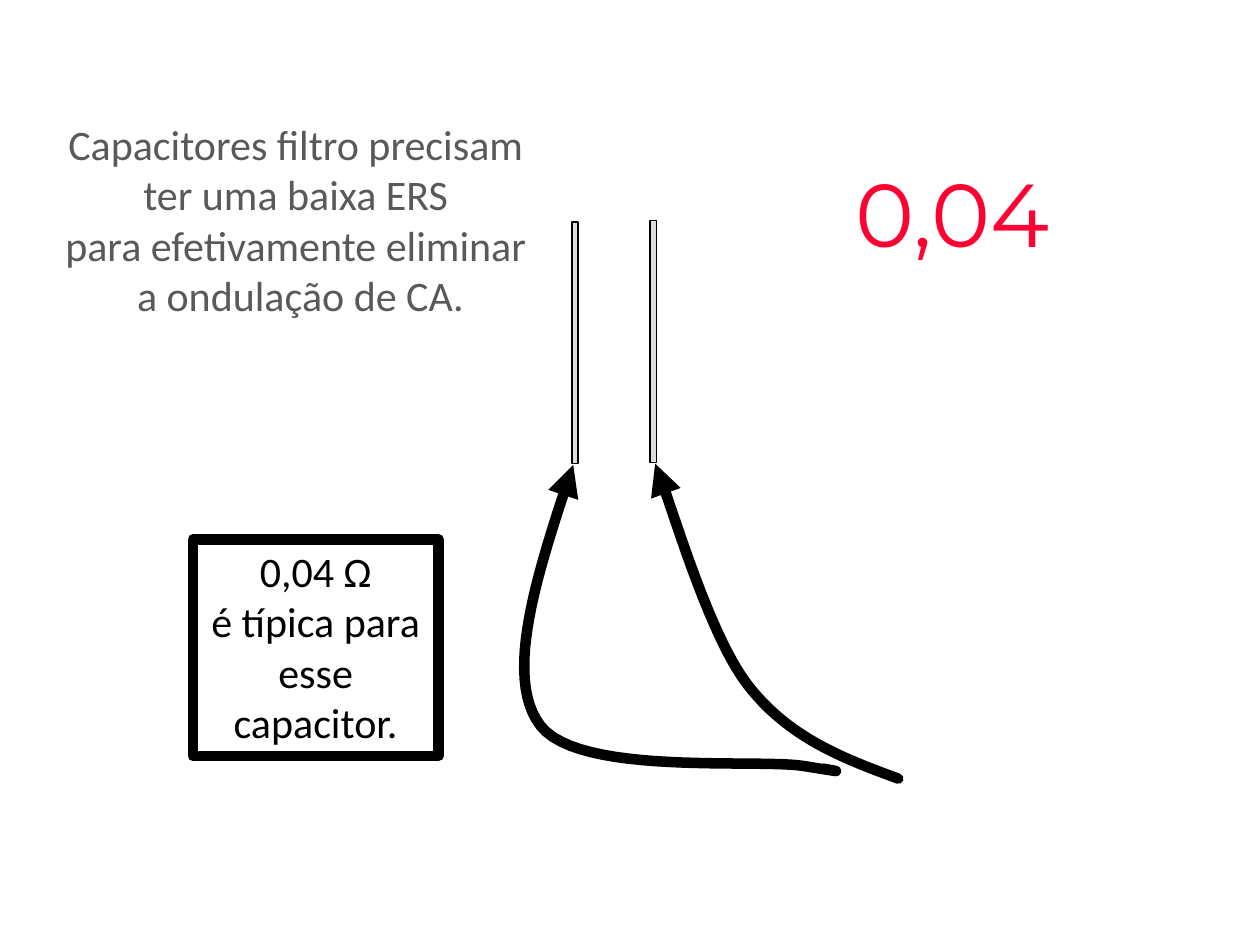
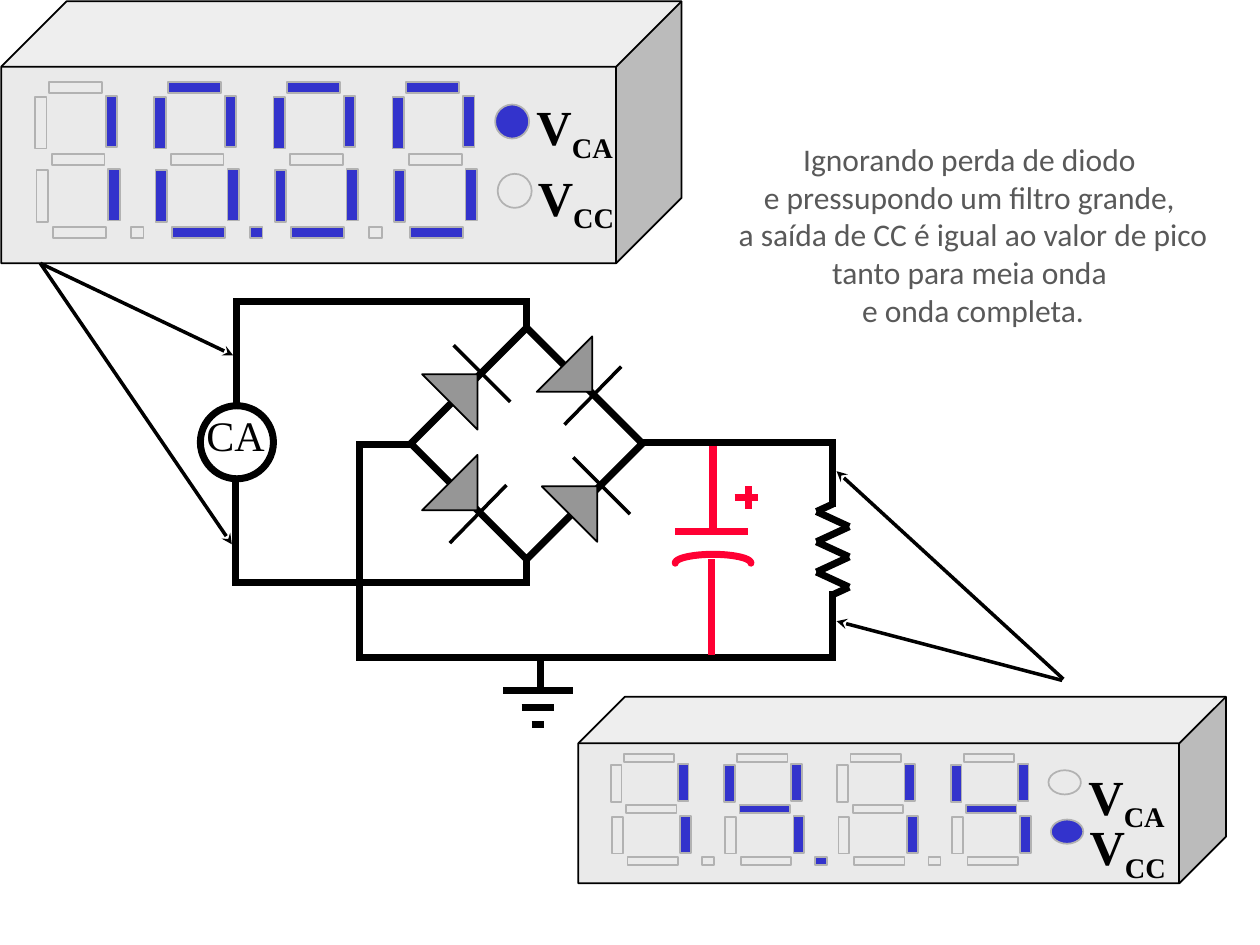
"""Build two slides on filter capacitors: low series resistance and the bridge rectifier."""
import itertools

import pptx
import pptx.dml.color
import pptx.enum.shapes
import pptx.enum.text
import pptx.oxml
import pptx.oxml.ns
import pptx.util

Inches = pptx.util.Inches
SHAPES = pptx.enum.shapes.MSO_SHAPE
ALIGN = pptx.enum.text.PP_ALIGN

COLORS = {
    "black": "000000", "grey_text": "595959", "red": "FF0033", "lead": "DDDDDD",
    "meter": "EAEAEA", "lit": "3333CC", "segment_edge": "B2B2B2", "diode": "969696",
}

FILTER_NOTE = ["Capacitores filtro precisam ", "ter uma baixa ERS ",
               "para efetivamente eliminar ", "a ondulação de CA."]
TYPICAL_NOTE = ["0,04 Ω", "é típica para esse capacitor."]
READING = ["0,04"]
PEAK_NOTE = ["Ignorando perda de diodo", "e pressupondo um filtro grande,",
             " a saída de CC é igual ao valor de pico", "tanto para meia onda",
             " e onda completa."]

LEADS = [(5.16, 1.75), (4.54, 1.76)]
PROBE_CURVES = [
    [(6.53, 6.1), (6.64, 6.12), (6.75, 6.14), (6.38, 6.08), (6, 6.02), (4.6, 6.16),
     (4.29, 5.76), (3.99, 5.37), (4.27, 4.53), (4.55, 3.69)],
    [(7.13, 6.18), (6.69, 6.02), (6.25, 5.85), (5.93, 5.43), (5.61, 5.01), (5.32, 3.97),
     (5.2, 3.68)],
]

METER_SIZE = (5.4, 2.08)
METERS = [
    {"at": (4.59, 5.53), "size": (5.14, 1.48), "digits": "1414", "mode": "CC"},
    {"at": (0.01, 0.01), "size": METER_SIZE, "digits": "1000", "mode": "CA"},
]
MODES = [("CA", 3.92, 0.82, 4.15, 0.71), ("CC", 3.94, 1.37, 4.16, 1.27)]
UPRIGHT, LEVEL = (0.09, 0.41), (0.42, 0.09)
SEGMENTS = {
    "a": (0.11, 0.64, *LEVEL), "b": (0.56, 0.75, *UPRIGHT), "c": (0.58, 1.33, *UPRIGHT),
    "d": (0.14, 1.79, *LEVEL), "e": (0.01, 1.34, *UPRIGHT), "f": (0, 0.76, *UPRIGHT),
    "g": (0.13, 1.21, *LEVEL),
}
DIGIT_SEGMENTS = {"0": "abcdef", "1": "bc", "4": "bcfg"}
DIGIT_LEFT, DIGIT_PITCH, POINT_LEFT, POINT_AFTER = 0.27, 0.945, 1.03, 1

DIODES = [
    ((5, 4.08), (4.55, 3.63), (4.3, 3.86), 180),
    ((3.57, 4.31), (4.02, 3.85), (3.35, 3.61), 270),
    ((4.48, 3.37), (4.93, 2.91), (4.26, 2.67), 270),
    ((4.05, 3.19), (3.6, 2.74), (3.35, 2.97), 180),
]
WIRES = [
    [(5.11, 3.51), (6.61, 3.51), (6.61, 4)],
    [(6.61, 4.72), (6.61, 5.22), (2.85, 5.22), (2.85, 3.53), (3.25, 3.53)],
    [(1.87, 3.82), (1.87, 4.62), (4.18, 4.62), (4.18, 4.44)],
    [(4.18, 2.6), (4.18, 2.39), (1.88, 2.39), (1.88, 3.21)],
    [(4.29, 5.45), (4.29, 5.22)],
]
RESISTOR_TOP, RESISTOR_TURNS, TURN_STEP = (6.61, 4), 6, 0.12
GROUND_WIDTHS = [0.55, 0.26, 0.1]
CAPACITOR_LINES = [
    [(5.36, 4.22), (5.94, 4.22)], [(5.65, 4.44), (5.65, 5.2)],
    [(5.83, 3.95), (6.02, 3.95)], [(5.94, 4.04), (5.94, 3.86)],
]
CAPACITOR_PLATE = [(5.36, 4.47), (5.36, 4.43), (5.5, 4.4), (5.66, 4.4),
                   (5.82, 4.4), (5.96, 4.43), (5.96, 4.47)]
PROBES = [
    ((0.32, 2.09), (1.84, 4.32)), ((0.32, 2.09), (1.85, 2.82)),
    ((8.43, 5.4), (6.64, 4.93)), ((8.44, 5.39), (6.64, 3.74)),
]


def rgb(name):
    return pptx.dml.color.RGBColor.from_string(COLORS[name])


def set_line(line, color, width):
    line.color.rgb = rgb(color)
    line.width = pptx.util.Pt(width)


def add_line_part(shape, tag, **attributes):
    outline = shape.line._get_or_add_ln()
    part = pptx.oxml.parse_xml(f"<a:{tag} {pptx.oxml.ns.nsdecls('a')}/>")
    for name, value in attributes.items():
        part.set(name, value)
    outline.append(part)


def add_figure(page, kind, place, fill=None, edge="black", width=1, rotation=0):
    figure = page.shapes.add_shape(kind, *map(Inches, place))
    figure.shadow.inherit = False
    figure.rotation = rotation
    if fill:
        figure.fill.solid()
        figure.fill.fore_color.rgb = rgb(fill)
    else:
        figure.fill.background()
    set_line(figure.line, edge, width)
    return figure


def add_stroke(page, start, end, color="black", width=4, head=None, cap="flat"):
    stroke = page.shapes.add_connector(
        pptx.enum.shapes.MSO_CONNECTOR.STRAIGHT, *map(Inches, (*start, *end)))
    set_line(stroke.line, color, width)
    stroke.line._get_or_add_ln().set("cap", cap)
    if head:
        add_line_part(stroke, "tailEnd", type=head)
    stroke._element.spPr.append(
        pptx.oxml.parse_xml(f"<a:effectLst {pptx.oxml.ns.nsdecls('a')}/>"))


def add_chain(page, points, **style):
    for start, end in itertools.pairwise(points):
        add_stroke(page, start, end, **style)


def curve_points(knots, steps=24):
    points = [knots[0]]
    for first in range(0, len(knots) - 1, 3):
        controls = knots[first:first + 4]
        for step in range(1, steps + 1):
            t = step / steps
            weights = ((1 - t) ** 3, 3 * t * (1 - t) ** 2, 3 * t ** 2 * (1 - t), t ** 3)
            points.append(tuple(sum(w * c[axis] for w, c in zip(weights, controls))
                                for axis in (0, 1)))
    return points


def add_curve(page, knots, color="black", width=4, head=None):
    points = [(Inches(x), Inches(y)) for x, y in curve_points(knots)]
    builder = page.shapes.build_freeform(*points[0], scale=1.0)
    builder.add_line_segments(points[1:], close=False)
    curve = builder.convert_to_shape()
    curve.shadow.inherit = False
    curve.fill.background()
    set_line(curve.line, color, width)
    curve.line._get_or_add_ln().set("cap", "rnd")
    add_line_part(curve, "round")
    if head:
        add_line_part(curve, "tailEnd", type=head)


def add_text(page, place, lines, size, font="Calibri", color="black", align=ALIGN.CENTER,
             wrap=False, bold=False, subscript=None):
    box = page.shapes.add_textbox(*map(Inches, place))
    frame = box.text_frame
    frame.word_wrap = wrap
    frame.auto_size = pptx.enum.text.MSO_AUTO_SIZE.SHAPE_TO_FIT_TEXT
    for index, line in enumerate(lines):
        para = frame.add_paragraph() if index else frame.paragraphs[0]
        para.alignment = align
        para.add_run().text = line
        if subscript:
            span = para.add_run()
            span.text = subscript
            span._r.get_or_add_rPr().set("baseline", "-25000")
        para.font.name = font
        para.font.size = pptx.util.Pt(size)
        para.font.bold = bold
        para.font.color.rgb = rgb(color)
    return box


def add_meter(page, meter):
    left, top = meter["at"]
    scale_x, scale_y = (size / base for size, base in zip(meter["size"], METER_SIZE))

    def fit(x, y, width, height):
        return (left + x * scale_x, top + y * scale_y, width * scale_x, height * scale_y)

    def add_light(kind, place, is_lit):
        add_figure(page, kind, fit(*place), "lit" if is_lit else None, "segment_edge")

    case = add_figure(page, SHAPES.CUBE, fit(0, 0, *METER_SIZE), "meter")
    case.adjustments[0] = 0.25
    for index, digit in enumerate(meter["digits"]):
        shift = index * DIGIT_PITCH
        for name, (x, y, width, height) in SEGMENTS.items():
            add_light(SHAPES.RECTANGLE, (DIGIT_LEFT + shift + x, y, width, height),
                      name in DIGIT_SEGMENTS[digit])
        if index < len(meter["digits"]) - 1:
            add_light(SHAPES.RECTANGLE, (POINT_LEFT + shift, 1.79, 0.1, 0.09),
                      index == POINT_AFTER)
    for mode, lamp_x, lamp_y, label_x, label_y in MODES:
        add_light(SHAPES.OVAL, (lamp_x, lamp_y, 0.27, 0.27), mode == meter["mode"])
        add_text(page, fit(label_x, label_y, 0.86, 0.52), ["V"], 28, "Times New Roman",
                 align=ALIGN.LEFT, bold=True, subscript=mode)


def build_resistance_page(page):
    for left, top in LEADS:
        add_figure(page, SHAPES.RECTANGLE, (left, top, 0.05, 1.92), "lead")
    add_text(page, (0.4, 0.89, 3.97, 1.72), FILTER_NOTE, 24, color="grey_text")
    typical = add_text(page, (1.53, 4.28, 1.95, 1.72), TYPICAL_NOTE, 24, wrap=True)
    set_line(typical.line, "black", 6)
    add_text(page, (6.69, 1.21, 1.87, 0.96), READING, 51, "Montserrat", "red", ALIGN.LEFT)
    for knots in PROBE_CURVES:
        add_curve(page, knots, width=6, head="triangle")


def build_rectifier_page(page):
    add_stroke(page, (5.66, 4.22), (5.66, 3.52), "red", 4.5)
    for meter in METERS:
        add_meter(page, meter)

    add_figure(page, SHAPES.RECTANGLE, (3.53, 2.87, 1.3, 1.3), width=4, rotation=315)
    for start, end, corner, rotation in DIODES:
        add_stroke(page, start, end, width=2)
        add_figure(page, SHAPES.RIGHT_TRIANGLE, (*corner, 0.44, 0.44), "diode",
                   rotation=rotation)

    middle, top = RESISTOR_TOP
    turns = [(middle + (0.13 if turn % 2 else -0.13), top + 0.06 + turn * TURN_STEP)
             for turn in range(RESISTOR_TURNS)]
    add_chain(page, [RESISTOR_TOP, *turns, (middle, top + RESISTOR_TURNS * TURN_STEP)])

    add_figure(page, SHAPES.OVAL, (1.59, 3.22, 0.58, 0.58), width=4)
    for points in WIRES:
        add_chain(page, points, cap="sq")
    for index, width in enumerate(GROUND_WIDTHS):
        y = 5.48 + index * 0.135
        add_stroke(page, (4.27 - width / 2, y), (4.27 + width / 2, y))
    add_text(page, (1.54, 3.2, 0.86, 0.51), ["CA"], 24, "Times New Roman",
             align=ALIGN.LEFT, wrap=True)

    add_curve(page, CAPACITOR_PLATE, "red")
    for points in CAPACITOR_LINES:
        add_chain(page, points, color="red")
    add_text(page, (5.68, 1.06, 4.03, 1.62), PEAK_NOTE, 18, color="grey_text")
    for start, end in PROBES:
        add_stroke(page, start, end, width=2, head="stealth")


def main():
    deck = pptx.Presentation()
    deck.slide_width, deck.slide_height = Inches(10), Inches(7.5)
    for build_page in (build_resistance_page, build_rectifier_page):
        build_page(deck.slides.add_slide(deck.slide_layouts[6]))
    deck.save("out.pptx")


if __name__ == "__main__":
    main()
